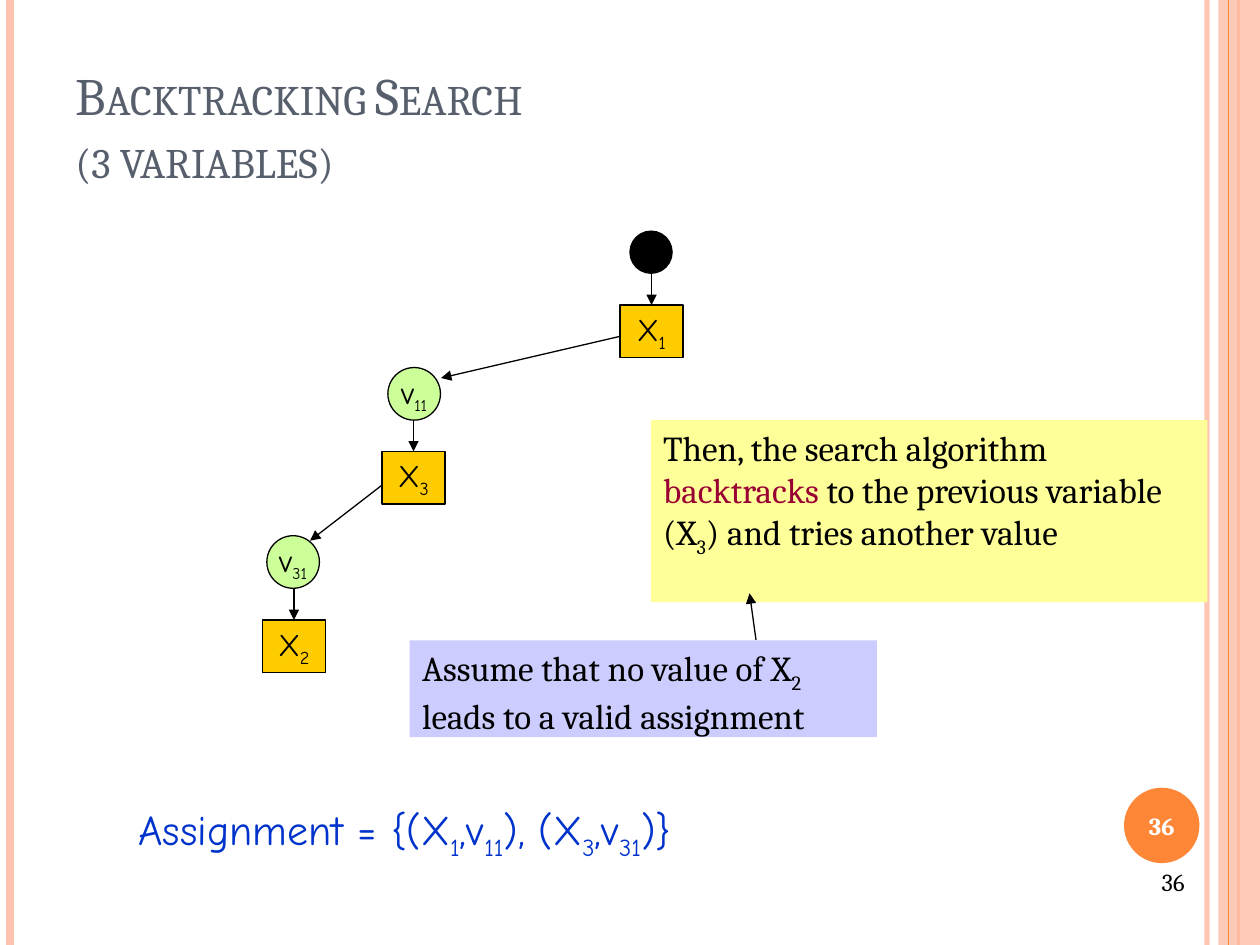
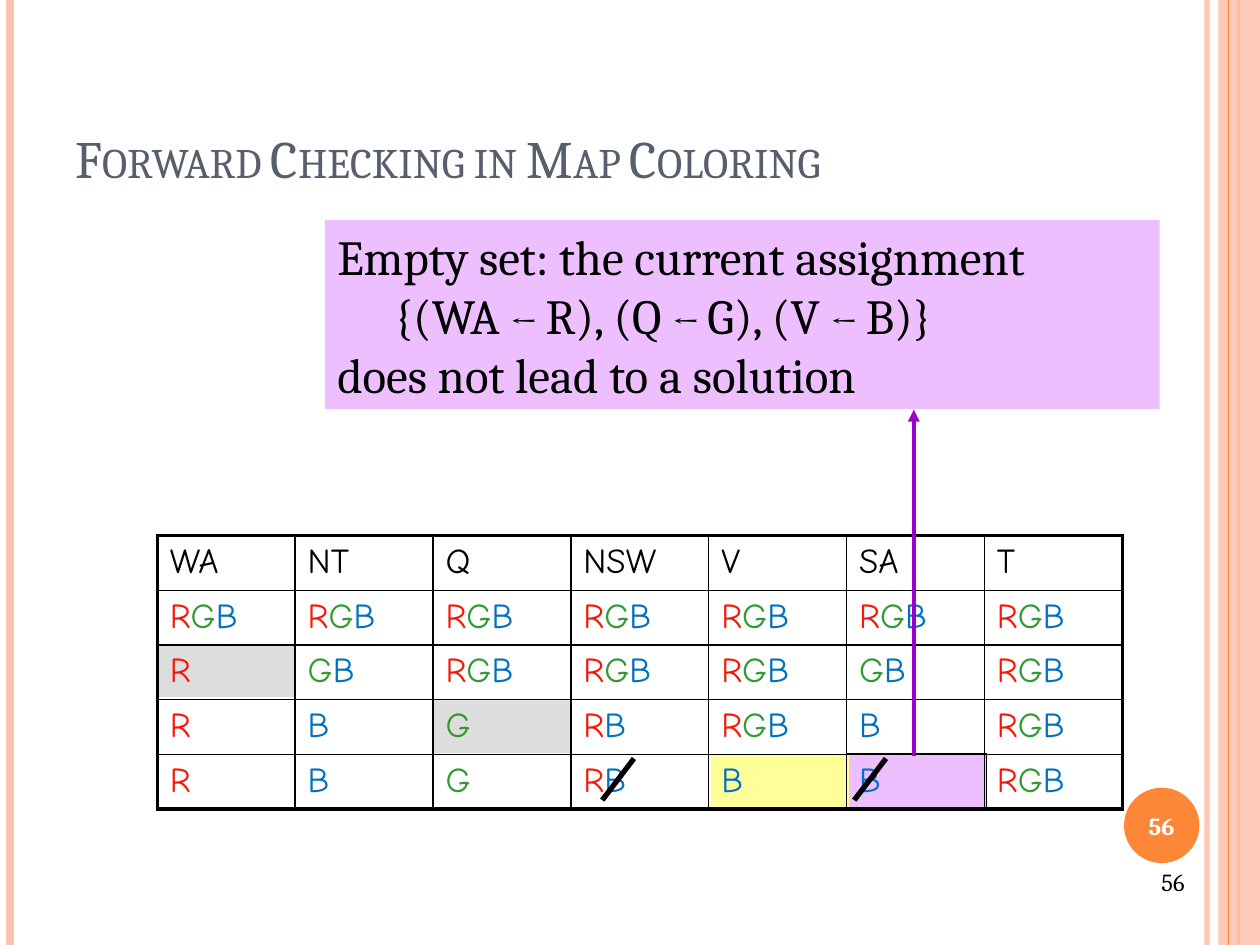
"""Build two slides on constraint search: backtracking and forward checking."""
from dataclasses import dataclass
from typing import NamedTuple, Optional

from lxml.etree import SubElement
from pptx import Presentation
from pptx.dml.color import RGBColor
from pptx.enum.shapes import MSO_CONNECTOR, MSO_SHAPE
from pptx.enum.text import MSO_ANCHOR, PP_ALIGN
from pptx.oxml.ns import qn
from pptx.util import Cm, Pt

RECT, OVAL = MSO_SHAPE.RECTANGLE, MSO_SHAPE.OVAL
STRAIGHT = MSO_CONNECTOR.STRAIGHT
TOP, MIDDLE, BOTTOM = MSO_ANCHOR.TOP, MSO_ANCHOR.MIDDLE, MSO_ANCHOR.BOTTOM
LEFT, CENTER, RIGHT = PP_ALIGN.LEFT, PP_ALIGN.CENTER, PP_ALIGN.RIGHT
WIDE, HIGH = 25.4, 19.05


@dataclass(frozen=True)
class Theme:
    serif: str = "Cambria"
    hand: str = "Comic Neue"
    black: str = "000000"
    white: str = "FFFFFF"
    slate: str = "575F6D"
    peach: str = "FEC3AE"
    orange: str = "FE8637"
    blue: str = "0033CC"
    gold: str = "FFCC00"
    lime: str = "CCFF99"
    lilac: str = "CCCCFF"
    yellow: str = "FFFF99"
    wine: str = "990033"
    pink: str = "EEBFFF"
    grey: str = "DDDDDD"
    purple: str = "9900CC"
    title: int = 30
    large: int = 28
    formula: int = 24
    body: int = 20
    node: int = 18
    small: int = 16
    page: int = 14


T = Theme()
HUES = {"R": "F81706", "G": "339933", "B": "0070C0"}


class Box(NamedTuple):
    x: float
    y: float
    w: float
    h: float


class Bit(NamedTuple):
    text: str
    color: Optional[str] = None
    size: Optional[int] = None
    sub: bool = False


class Line(NamedTuple):
    bits: list
    indent: float = 0


class Style(NamedTuple):
    size: int
    font: str = T.serif
    color: str = T.black
    bold: bool = False
    caps: bool = False
    align: int = LEFT
    anchor: int = TOP
    wrap: bool = True


class Step(NamedTuple):
    name: str
    ring: Box
    fill: str
    label: str
    box: Box


class Rail(NamedTuple):
    x: float
    color: str
    width: float
    alpha: int = 100


def rgb(code: str) -> RGBColor:
    return RGBColor.from_string(code)


def subs(text: str, size: Optional[int] = None) -> list:
    parts = enumerate(text.split("|"))
    return [Bit(part, None, size if i % 2 else None, bool(i % 2)) for i, part in parts if part]


def fade(node, alpha: int) -> None:
    if alpha < 100:
        tint = next(node.iter(qn("a:srgbClr")))
        SubElement(tint, qn("a:alpha")).set("val", str(alpha * 1000))


def write(para, bits: list, style: Style) -> None:
    para.alignment = style.align
    for bit in bits:
        run = para.add_run()
        run.text = bit.text
        font = run.font
        font.name, font.bold = style.font, style.bold
        font.size = Pt(bit.size or style.size)
        font.color.rgb = rgb(bit.color or style.color)
        props = run._r.get_or_add_rPr()
        if bit.sub:
            props.set("baseline", "-25000")
        if style.caps:
            props.set("cap", "small")


def fill_text(shape, lines: list, style: Style) -> None:
    frame = shape.text_frame
    frame.word_wrap = style.wrap
    frame.vertical_anchor = style.anchor
    for i, line in enumerate(lines):
        para = frame.add_paragraph() if i else frame.paragraphs[0]
        if line.indent:
            para._p.get_or_add_pPr().set("marL", str(Cm(line.indent)))
        write(para, line.bits, style)


def add_text(slide, box: Box, lines: list, style: Style) -> None:
    fill_text(slide.shapes.add_textbox(*map(Cm, box)), lines, style)


def add_block(slide, kind: int, box: Box, fill: str, edge: bool = False,
              lines: Optional[list] = None, style: Optional[Style] = None, alpha: int = 100):
    shape = slide.shapes.add_shape(kind, *map(Cm, box))
    shape.shadow.inherit = False
    shape.fill.solid()
    shape.fill.fore_color.rgb = rgb(fill)
    fade(shape._element.spPr, alpha)
    if edge:
        shape.line.color.rgb = rgb(T.black)
        shape.line.width = Pt(0.75)
    else:
        shape.line.fill.background()
    if lines:
        fill_text(shape, lines, style)
    return shape


def add_line(slide, start: tuple, end: tuple, color: str = T.black, width: float = 0.75,
             arrow: bool = False, alpha: int = 100):
    link = slide.shapes.add_connector(STRAIGHT, *map(Cm, start + end))
    link.line.color.rgb = rgb(color)
    link.line.width = Pt(width)
    props = link._element.spPr
    fade(props, alpha)
    if arrow:
        SubElement(props.find(qn("a:ln")), qn("a:tailEnd")).set("type", "triangle")
    SubElement(props, qn("a:effectLst"))
    return link


def add_rail(slide, rail: Rail) -> None:
    add_line(slide, (rail.x, 0), (rail.x, HIGH), rail.color, rail.width, alpha=rail.alpha)


def add_page(deck, title: list, number: int):
    slide = deck.slides.add_slide(deck.slide_layouts[6])
    for rail in (Rail(24.33, T.peach, 3, 93), Rail(0.21, T.peach, 4.5), Rail(24.97, T.orange, 1.5)):
        add_rail(slide, rail)
    add_block(slide, RECT, Box(24.56, 0, 0.84, HIGH), T.peach, alpha=87)
    add_rail(slide, Rail(24.77, T.orange, 0.75))
    label = [Line([Bit(str(number))])]
    badge = Style(T.page, color=T.white, bold=True, align=CENTER, anchor=MIDDLE, wrap=False)
    add_block(slide, OVAL, Box(22.66, 15.88, 1.52, 1.52), T.orange, lines=label, style=badge)
    add_text(slide, Box(1.27, 0.76, 20.75, 3.18), [Line([Bit(text)]) for text in title],
             Style(T.title, color=T.slate, caps=True, anchor=BOTTOM))
    add_text(slide, Box(18.21, 17.35, 5.92, 1.32), label, Style(T.page, align=RIGHT))
    return slide


def add_step(slide, step: Step) -> None:
    style = Style(T.node, T.hand, align=CENTER, anchor=MIDDLE, wrap=False)
    lines = [Line(subs(step.label, T.small))] if step.label else None
    add_block(slide, OVAL, step.ring, step.fill, True, lines, style)
    box = add_block(slide, RECT, step.box, T.gold, True, [Line(subs(step.name))], style)
    mid = step.box.x + step.box.w / 2
    drop = add_line(slide, (mid, step.ring.y + step.ring.h), (mid, step.box.y), arrow=True)
    drop.end_connect(box, 0)


def add_search(deck) -> None:
    slide = add_page(deck, ["Backtracking Search", "(3 variables)"], 36)
    size = (1.27, 1.06)
    steps = (
        Step("X|1|", Box(12.7, 4.66, 0.85, 0.85), T.black, "", Box(12.5, 6.15, *size)),
        Step("X|3|", Box(7.82, 7.41, 1.06, 1.06), T.lime, "v|11|", Box(7.7, 9.1, *size)),
        Step("X|2|", Box(5.38, 10.8, 1.06, 1.06), T.lime, "v|31|", Box(5.29, 12.5, *size)),
    )
    for step in steps:
        add_step(slide, step)
    for start, end in (((12.5, 6.78), (8.89, 7.62)), ((7.7, 9.78), (6.25, 10.9))):
        add_line(slide, start, end, arrow=True)
    add_text(slide, Box(2.54, 16.08, 12.55, 1.27),
             [Line(subs("Assignment = {(X|1|,v|11|), (X|3|,v|31|)}"))],
             Style(T.formula, T.hand, T.blue, wrap=False))
    add_block(slide, RECT, Box(8.26, 12.91, 9.42, 1.95), T.lilac,
              lines=[Line(subs("Assume that no value of X|2|")),
                     Line([Bit("leads to a valid assignment")])],
              style=Style(T.body, wrap=False))
    result = [Bit("backtracks ", T.wine),
              *subs("to the previous variable (X|3|) and tries another value")]
    add_block(slide, RECT, Box(13.12, 8.47, 11.22, 3.67), T.yellow,
              lines=[Line([Bit("Then, the search algorithm")]), Line(result)],
              style=Style(T.body))
    add_line(slide, (15.24, 12.9), (15.11, 11.96), arrow=True)


def set_edges(cell, thick: dict) -> None:
    props = cell._tc.get_or_add_tcPr()
    for side in "LRTB":
        edge = SubElement(props, qn(f"a:ln{side}"))
        edge.set("w", str(Pt(2.25 if thick[side] else 1)))
        SubElement(SubElement(edge, qn("a:solidFill")), qn("a:srgbClr")).set("val", T.black)


def add_grid(slide, rows: list) -> None:
    tall, wide = len(rows), len(rows[0])
    table = slide.shapes.add_table(tall, wide, Cm(3.17), Cm(10.8),
                                   Cm(2.78 * wide), Cm(1.07 * tall)).table
    table.first_row = table.horz_banding = False
    style = Style(T.body, T.hand)
    for r, row in enumerate(rows):
        for c, text in enumerate(row):
            cell = table.cell(r, c)
            set_edges(cell, {"L": c == 0, "R": c == wide - 1, "T": r == 0, "B": r == tall - 1})
            cell.fill.background()
            bits = [Bit(ch, HUES[ch]) for ch in text] if r else [Bit(text)]
            write(cell.text_frame.paragraphs[0], bits, style)


def add_check(deck) -> None:
    slide = add_page(deck, ["Forward Checking in Map Coloring"], 56)
    add_block(slide, RECT, Box(17.07, 15.19, 2.82, 1.12), T.pink, True)
    for x, y, fill in ((3.15, 12.98, T.grey), (14.33, 15.21, T.yellow), (8.74, 14.12, T.grey)):
        add_block(slide, RECT, Box(x, y, 2.79, 1.07), fill)
    rows = ("WA NT Q NSW V SA T", "RGB RGB RGB RGB RGB RGB RGB", "R GB RGB RGB RGB GB RGB",
            "R B G RB RGB B RGB", "R B G RB B B RGB")
    add_grid(slide, [row.split() for row in rows])
    for x in (17.22, 12.14):
        add_line(slide, (x, 16.13), (x + 0.64, 15.29), width=3)
    arrow = Bit("← ", size=T.body)
    pairs = [Bit("{(WA "), arrow, Bit("R), (Q "), arrow, Bit("G), (V "), arrow, Bit("B)}")]
    add_block(slide, RECT, Box(6.55, 4.44, 16.83, 3.81), T.pink,
              lines=[Line([Bit("Empty set: the current assignment")]), Line(pairs, 1.15),
                     Line([Bit("does not lead to a solution")])],
              style=Style(T.large, wrap=False))
    add_line(slide, (18.42, 15.24), (18.42, 8.26), T.purple, 2.25, True)


def main() -> None:
    deck = Presentation()
    deck.slide_width, deck.slide_height = Cm(WIDE), Cm(HIGH)
    add_search(deck)
    add_check(deck)
    deck.save("out.pptx")


if __name__ == "__main__":
    main()
